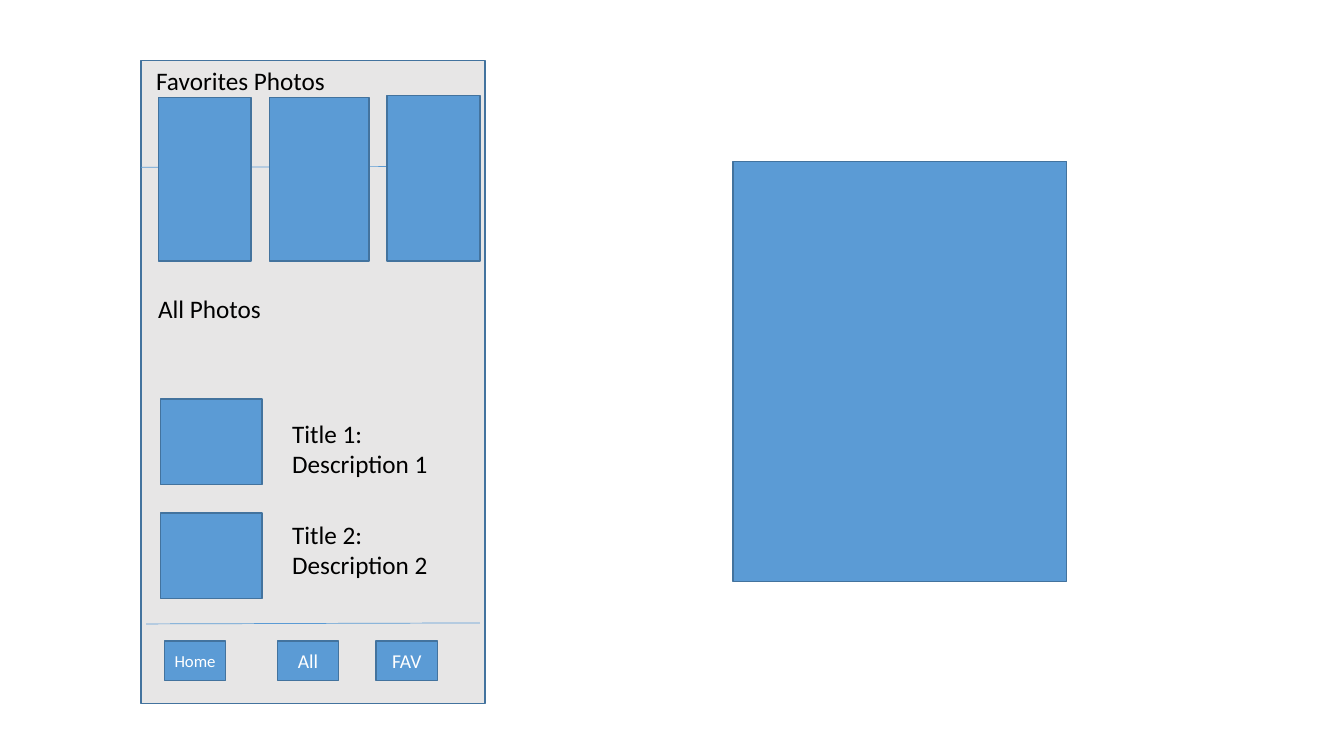
"""Build a wireframe slide of a photo app with a phone screen and a large photo."""
from pptx import Presentation
from pptx.dml.color import RGBColor
from pptx.enum.shapes import MSO_CONNECTOR as Link, MSO_SHAPE as Shape
from pptx.enum.text import MSO_ANCHOR as Anchor, MSO_AUTO_SIZE as Fit, PP_ALIGN as Align
from pptx.util import Inches, Pt
from lxml import etree

BLUE, EDGE, GREY, WHITE, BLACK = "5B9BD5", "43739E", "E7E6E6", "FFFFFF", "000000"
PHONE = (1.4, 0.6, 3.41, 6.38)
PHOTO = (7.27, 1.6, 3.31, 4.17)
RULES = [(1.45, 6.19), (1.4, 1.66)]
TABS = [("Home", 1.63, 12), ("All", 2.75, 14), ("FAV", 3.73, 14)]
FAVS = [(1.57, 0.97, 0.92, 1.62), (2.67, 0.97, 0.99, 1.62), (3.84, 0.95, 0.92, 1.64)]
HEADS = [("Favorites Photos", 1.45, 0.6, 1.89), ("All Photos", 1.47, 2.86, 1.23)]
ITEMS = [("Title 1:", "Description 1", 3.96, 4.1), ("Title 2:", "Description 2", 5.09, 5.1)]


def color(code):
    return RGBColor.from_string(code)


def write(frame, lines, size, ink, align):
    frame.text = "\n".join(lines)
    for para in frame.paragraphs:
        para.alignment = align
        para.font.name, para.font.size = "Calibri", Pt(size)
        para.font.color.rgb = color(ink)


def box(area, fill=BLUE):
    rect = slide.shapes.add_shape(Shape.RECTANGLE, *map(Inches, area))
    rect.shadow.inherit = False
    rect.fill.solid()
    rect.fill.fore_color.rgb = color(fill)
    rect.line.color.rgb = color(EDGE)
    rect.line.width = Pt(1)
    return rect


def label(lines, *area):
    frame = slide.shapes.add_textbox(*map(Inches, area)).text_frame
    frame.word_wrap = False
    frame.auto_size = Fit.SHAPE_TO_FIT_TEXT
    write(frame, lines, 18, BLACK, Align.LEFT)


def rule(left, top):
    ends = map(Inches, (left, top, left + 3.31, top - 0.01))
    line = slide.shapes.add_connector(Link.STRAIGHT, *ends)
    line.line.color.rgb = color(BLUE)
    line.line.width = Pt(0.5)
    props = line._element.spPr
    etree.SubElement(props, props.tag.replace("}spPr", "}effectLst").replace(
        "presentationml", "drawingml").replace("2006/main}", "2006/main}"))


deck = Presentation()
deck.slide_width, deck.slide_height = Inches(13.33), Inches(7.5)
slide = deck.slides.add_slide(deck.slide_layouts[6])

box(PHONE, GREY)
box(PHOTO)
for start in RULES:
    rule(*start)
for name, left, size in TABS:
    frame = box((left, 6.36, 0.61, 0.39)).text_frame
    frame.word_wrap = True
    frame.vertical_anchor = Anchor.MIDDLE
    frame.margin_left = frame.margin_right = 0
    write(frame, [name], size, WHITE, Align.CENTER)
for area in FAVS:
    box(area)
for text, left, top, width in HEADS:
    label([text], left, top, width, 0.4)
for title, about, top, base in ITEMS:
    box((1.59, top, 1.01, 0.85))
    label([title, about], 2.8, base, 1.56, 0.71)

deck.save("out.pptx")
